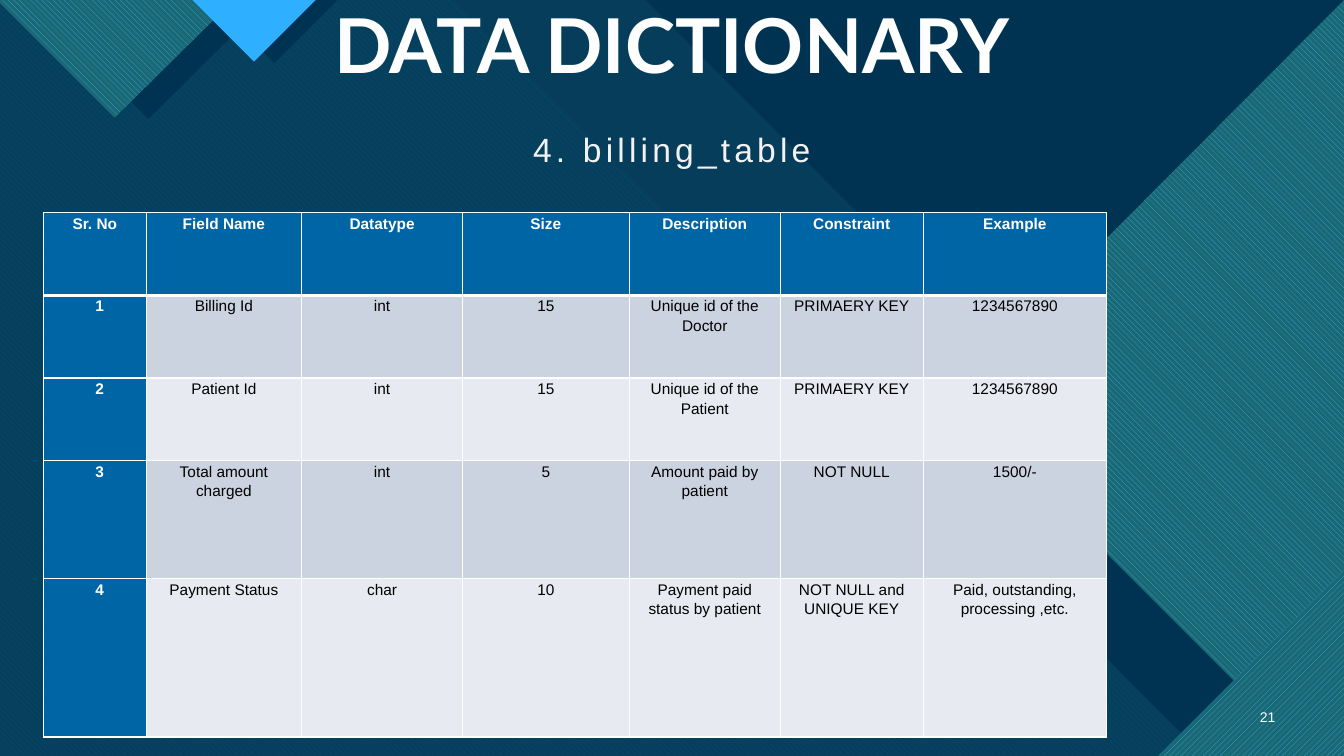
import math

from lxml import etree
from pptx import Presentation
from pptx.dml.color import RGBColor
from pptx.enum import dml, text
from pptx.oxml.ns import qn
from pptx.util import Pt

NAVY, TEAL, SKY, PINE, BLUE = "003352", "47C3D3", "2FAFFF", "1B6872", "0065A4"
DOWN = dml.MSO_PATTERN.WIDE_DOWNWARD_DIAGONAL
UP = dml.MSO_PATTERN.WIDE_UPWARD_DIAGONAL

# Backdrop from back to front: corner points, fill, rotation of the stripes
BACKDROP = [
    ([(0, 0), (595, 0), (809, 214), (889, 214), (960, 285), (960, 540), (0, 540)],
     dict(fore=TEAL, alpha=74), 0),
    ([(0, 0), (323, 0), (537, 214), (628, 214), (954, 540), (0, 540)],
     dict(fore=BLUE, back=TEAL, pattern=DOWN), 270),
    ([(461, 0), (960, 0), (960, 500)], dict(fore=NAVY), 0),
    ([(0, 0), (500, 0), (714, 214), (805, 214), (960, 369), (960, 540), (0, 540)],
     dict(fore=NAVY, alpha=90), 0),
    # Right side and lower right corner
    ([(960, 49), (960, 540), (860, 540), (664.5, 344)], dict(fore=NAVY), 45),
    ([(960, 0), (960, 540), (935, 540), (678, 283)],
     dict(fore=SKY, back=PINE, pattern=DOWN), 135),
    ([(960, 442), (960, 540), (862, 540)], dict(fore=NAVY), 45),
    ([(960, 407.5), (960, 540), (827.5, 540)],
     dict(fore=SKY, back=PINE, pattern=UP), 135),
    # Triangles hanging from the upper left edge
    ([(191.5, 0), (106, 85), (21, 0)], dict(fore=NAVY), 315),
    ([(-2, 0), (82, 84), (167, 0)], dict(fore=SKY, back=PINE, pattern=DOWN), 45),
    ([(241, 0), (196, 45), (150.5, 0)], dict(fore=NAVY), 315),
    ([(137.5, 0), (181.5, 44), (225.5, 0)], dict(fore=SKY), 45),
]

COLUMN_WIDTHS = [73.5, 111, 115, 119, 108, 102, 131]
ROW_HEIGHTS = [59, 59, 59, 84.5, 113]
FIELDS = [
    ["Sr. No", "Field Name", "Datatype", "Size", "Description", "Constraint", "Example"],
    ["1", "Billing Id", "int", "15", "Unique id of the Doctor", "PRIMAERY KEY", "1234567890"],
    ["2", "Patient Id", "int", "15", "Unique id of the Patient", "PRIMAERY KEY", "1234567890"],
    ["3", "Total amount charged", "int", "5", "Amount paid by patient", "NOT NULL", "1500/-"],
    ["4", "Payment Status", "char", "10", "Payment paid status by patient",
     "NOT NULL and UNIQUE KEY", "Paid, outstanding, processing ,etc."],
]


def color(value):
    return RGBColor.from_string(value)


def turn(point, degrees):
    x, y = point
    c, s = math.cos(math.radians(degrees)), math.sin(math.radians(degrees))
    return x * c - y * s, x * s + y * c


def paint(fill, fore, back=None, pattern=None):
    if pattern is None:
        fill.solid()
    else:
        fill.patterned()
        fill.pattern = pattern
        fill.back_color.rgb = color(back)
    fill.fore_color.rgb = color(fore)


def add_polygon(slide, corners, angle=0, alpha=None, **fill):
    """Draw corners given on the slide; the shape itself is turned by angle."""
    flat = [turn(corner, -angle) for corner in corners]
    center = [(min(axis) + max(axis)) / 2 for axis in zip(*flat)]
    placed = turn(center, angle)
    dx, dy = placed[0] - center[0], placed[1] - center[1]
    outline = [(Pt(x + dx), Pt(y + dy)) for x, y in flat]
    builder = slide.shapes.build_freeform(*outline[0], scale=1.0)
    builder.add_line_segments(outline[1:], close=True)
    polygon = builder.convert_to_shape()
    polygon.rotation = angle
    polygon.shadow.inherit = False
    polygon.line.fill.background()
    paint(polygon.fill, **fill)
    if alpha is not None:
        tint = polygon._element.spPr.find(".//" + qn("a:srgbClr"))
        etree.SubElement(tint, qn("a:alpha"), val=str(alpha * 1000))


def write(frame, words, size, ink="FFFFFF", font="Arial", bold=False, line=None,
          align=text.PP_ALIGN.CENTER, before=0, after=0, spacing=0, indent=0):
    frame.word_wrap = True
    paragraph = frame.paragraphs[0]
    paragraph.alignment = align
    paragraph.line_spacing = line
    paragraph.space_before, paragraph.space_after = Pt(before), Pt(after)
    if indent:
        paragraph._p.get_or_add_pPr().set("marL", str(Pt(indent)))
    run = paragraph.add_run()
    run.text = words
    run.font.name, run.font.size, run.font.bold = font, Pt(size), bold
    run.font.color.rgb = color(ink)
    if spacing:
        run._r.get_or_add_rPr().set("spc", str(spacing * 100))


def place(slide, holder, top, height, anchor):
    holder.left, holder.top = Pt(0), Pt(top)
    holder.width, holder.height = Pt(960), Pt(height)
    holder.text_frame.auto_size = text.MSO_AUTO_SIZE.NONE
    holder.text_frame.vertical_anchor = anchor
    slide.shapes._spTree.append(holder._element)  # in front of the backdrop
    return holder.text_frame


def add_borders(cell, **widths):
    properties = cell._tc.get_or_add_tcPr()
    for side in "LRTB":
        edge = etree.SubElement(properties, qn("a:ln" + side), w=str(Pt(widths.get(side, 1))))
        paper = etree.SubElement(edge, qn("a:solidFill"))
        etree.SubElement(paper, qn("a:srgbClr"), val="FFFFFF")


def add_dictionary(slide):
    grid = slide.shapes.add_table(len(FIELDS), len(COLUMN_WIDTHS), Pt(31), Pt(152),
                                  Pt(sum(COLUMN_WIDTHS)), Pt(sum(ROW_HEIGHTS))).table
    for column, width in zip(grid.columns, COLUMN_WIDTHS):
        column.width = Pt(width)
    for r, (field, height) in enumerate(zip(FIELDS, ROW_HEIGHTS)):
        grid.rows[r].height = Pt(height)
        for c, words in enumerate(field):
            cell = grid.cell(r, c)
            heading = r == 0 or c == 0
            cell.margin_left = cell.margin_right = Pt(5)
            cell.margin_top = cell.margin_bottom = Pt(0)
            add_borders(cell, T=3 if r == 1 else 1, B=3 if r == 0 else 1)
            paint(cell.fill, BLUE if heading else "CCD3E0" if r % 2 else "E7EAF0")
            write(cell.text_frame, words, 11, ink="FFFFFF" if heading else "000000",
                  bold=heading, line=1.15, after=10, indent=7 if r and c == 0 else 0)


def main():
    deck = Presentation()
    deck.slide_width, deck.slide_height = Pt(960), Pt(540)
    slide = deck.slides.add_slide(deck.slide_layouts[2])
    title, subtitle = slide.placeholders

    # Backdrop
    paint(slide.background.fill, "0C4360")
    for corners, fill, angle in BACKDROP:
        add_polygon(slide, corners, angle, **fill)

    # Headings
    write(place(slide, subtitle, 91.5, 67.5, text.MSO_ANCHOR.TOP), "4. billing_table", 24,
          ink="F2F2F2", line=0.9, before=10, spacing=3)
    write(place(slide, title, 0, 67.5, text.MSO_ANCHOR.BOTTOM), "DATA DICTIONARY", 54,
          font="Lato", bold=True, line=0.9)

    # Page number
    page = slide.shapes.add_textbox(Pt(886), Pt(497.5), Pt(32), Pt(29)).text_frame
    page.vertical_anchor = text.MSO_ANCHOR.MIDDLE
    write(page, "21", 10, align=text.PP_ALIGN.RIGHT)

    add_dictionary(slide)
    deck.save("out.pptx")


if __name__ == "__main__":
    main()
